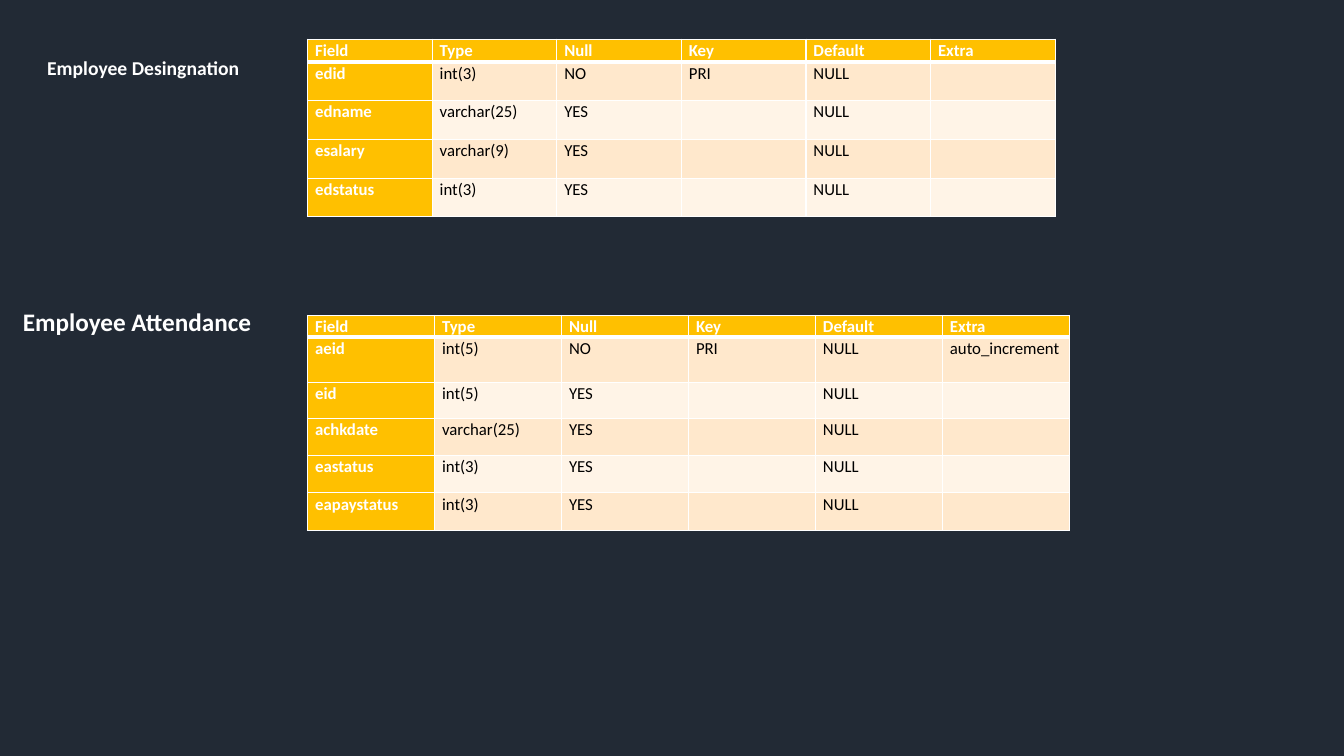
from dataclasses import dataclass

from lxml import etree
from pptx import Presentation
from pptx import util as u
from pptx.dml.color import RGBColor
from pptx.enum import text
from pptx.oxml import ns


@dataclass(frozen=True)
class Theme:
    font: str = "Calibri"
    back: str = "222A35"
    accent: str = "FFC000"
    bands: tuple = ("FFE8CC", "FFF4E7")
    light: str = "FFFFFF"
    dark: str = "000000"
    cell_size: int = 12
    small_title: int = 14
    large_title: int = 18
    thin: int = 1
    thick: int = 3
    leading: float = 1.07


T = Theme()
HEADER = ["Field", "Type", "Null", "Key", "Default", "Extra"]
DESIGNATION = [
    ["edid", "int(3)", "NO", "PRI", "NULL", ""],
    ["edname", "varchar(25)", "YES", "", "NULL", ""],
    ["esalary", "varchar(9)", "YES", "", "NULL", ""],
    ["edstatus", "int(3)", "YES", "", "NULL", ""],
]
ATTENDANCE = [
    ["aeid", "int(5)", "NO", "PRI", "NULL", "auto_increment"],
    ["eid", "int(5)", "YES", "", "NULL", ""],
    ["achkdate", "varchar(25)", "YES", "", "NULL", ""],
    ["eastatus", "int(3)", "YES", "", "NULL", ""],
    ["eapaystatus", "int(3)", "YES", "", "NULL", ""],
]


def set_all(obj, values):
    for name, value in values.items():
        setattr(obj, name, value)


def write(p, words, size, color, bold, **spacing):
    set_all(p, spacing)
    if words:
        r = p.add_run()
        r.text = words
        set_all(r.font, {"name": T.font, "size": u.Pt(size), "bold": bold})
        r.font.color.rgb = RGBColor.from_string(color)


def add_borders(cell, widths):
    tc_pr = cell._tc.get_or_add_tcPr()
    for side, width in widths.items():
        ln = etree.SubElement(tc_pr, ns.qn(f"a:ln{side}"), w=str(u.Pt(width)))
        fill = etree.SubElement(ln, ns.qn("a:solidFill"))
        etree.SubElement(fill, ns.qn("a:srgbClr"), val=T.light)


# Title beside a table
def add_title(s, box, words, size, anchor, **spacing):
    tf = s.shapes.add_textbox(*map(u.Cm, box)).text_frame
    set_all(tf, {"word_wrap": True, "vertical_anchor": anchor,
                 "auto_size": text.MSO_AUTO_SIZE.SHAPE_TO_FIT_TEXT})
    write(tf.paragraphs[0], words, size, T.light, True, **spacing)


# Table listing the fields of one database table
def add_fields(s, left, top, col_width, heights, records):
    rows = [HEADER] + records
    width, height = col_width * len(HEADER), sum(heights)
    frame = s.shapes.add_table(len(rows), len(HEADER), *map(u.Cm, (left, top, width, height)))
    table = frame.table
    for col in table.columns:
        col.width = u.Cm(col_width)
    for i, (row, row_height, values) in enumerate(zip(table.rows, heights, rows)):
        row.height = u.Cm(row_height)
        for j, (cell, words) in enumerate(zip(row.cells, values)):
            strong = i == 0 or j == 0
            set_all(cell, {"margin_left": u.Cm(0.19), "margin_right": u.Cm(0.19),
                           "margin_top": 0, "margin_bottom": 0})
            add_borders(cell, {"L": T.thin, "R": T.thin,
                               "T": T.thick if i == 1 else T.thin,
                               "B": T.thick if i == 0 else T.thin})
            cell.fill.solid()
            cell.fill.fore_color.rgb = RGBColor.from_string(
                T.accent if strong else T.bands[(i - 1) % 2])
            write(cell.text_frame.paragraphs[0], words, T.cell_size,
                  T.light if strong else T.dark, strong,
                  line_spacing=T.leading, space_after=u.Pt(9 if i else 8))


def main():
    prs = Presentation()
    set_all(prs, {"slide_width": u.Cm(33.87), "slide_height": u.Cm(19.05)})
    s = prs.slides.add_slide(prs.slide_layouts[6])
    s.background.fill.solid()
    s.background.fill.fore_color.rgb = RGBColor.from_string(T.back)

    # Employee designation
    add_fields(s, 7.75, 0.99, 3.14, [0.58, 0.96, 0.98, 0.98, 0.97], DESIGNATION)
    add_title(s, (0.94, 1.27, 5.4, 0.86), "Employee Desingnation",
              T.small_title, text.MSO_ANCHOR.MIDDLE)

    # Employee attendance
    add_title(s, (0.33, 7.54, 6.58, 1.04), "Employee Attendance",
              T.large_title, text.MSO_ANCHOR.TOP,
              line_spacing=T.leading, space_after=u.Pt(8))
    add_fields(s, 7.75, 7.95, 3.2, [0.55, 1.13, 0.91, 0.94, 0.94, 0.94], ATTENDANCE)

    prs.save("out.pptx")


if __name__ == "__main__":
    main()
